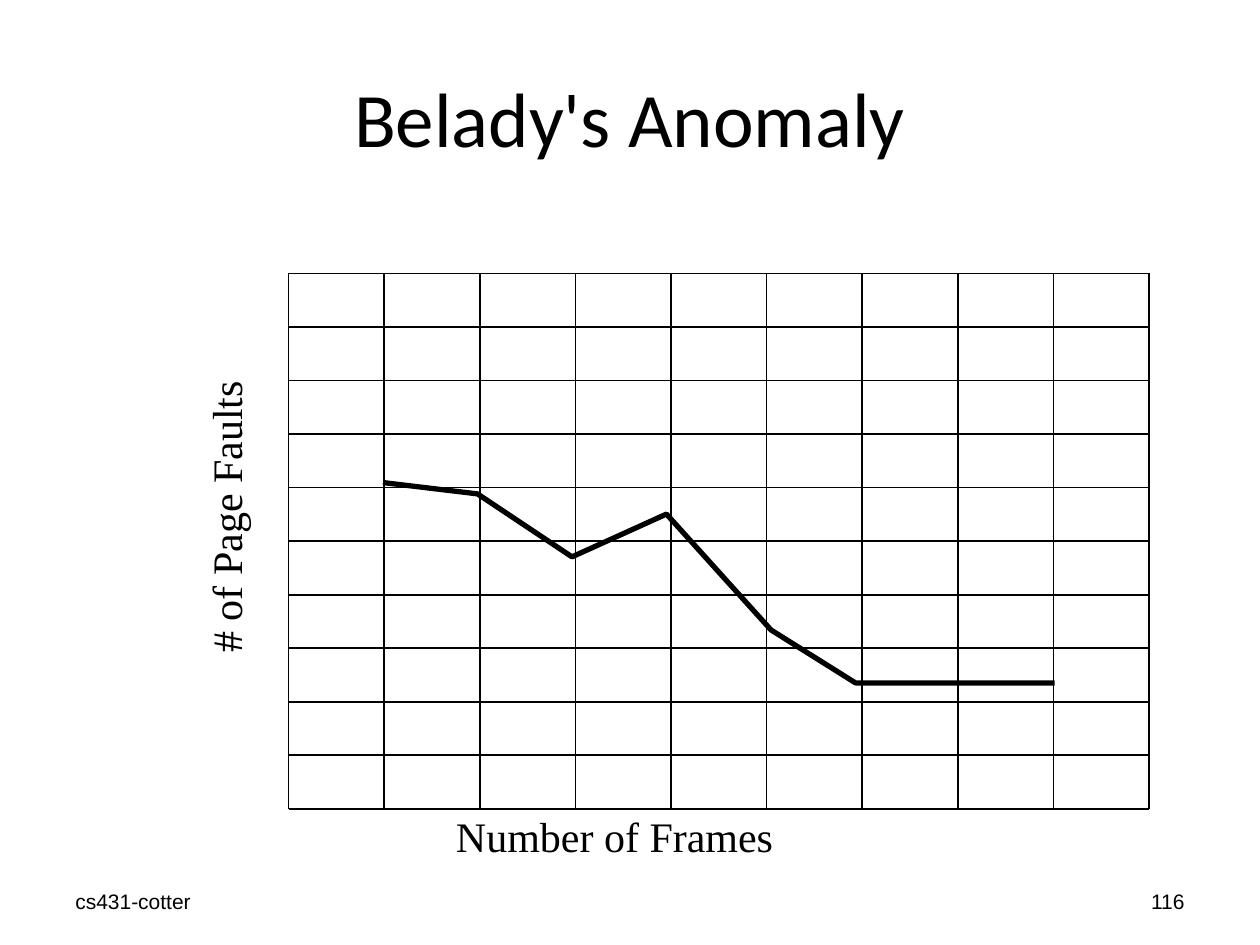
from dataclasses import dataclass

import pptx
import pptx.dml.color
import pptx.enum.shapes
import pptx.enum.text
import pptx.oxml.ns
import pptx.slide
import pptx.util
from lxml import etree

Inches = pptx.util.Inches
ALIGN = pptx.enum.text.PP_ALIGN
ANCHOR = pptx.enum.text.MSO_ANCHOR

COLORS = {"ink": "000000", "paper": "FFFFFF"}

# Chart grid
LEFT, TOP, RIGHT, BOTTOM = 2.29, 2.17, 9.12, 6.42
COLUMNS, ROWS = 9, 10

FAULT_CURVE = [(3.04, 3.83), (3.79, 3.92), (4.54, 4.42), (5.29, 4.08),
               (6.12, 5), (6.79, 5.42), (7.62, 5.42), (8.37, 5.42)]


@dataclass
class Label:
    text: str
    left: float
    top: float
    width: float
    height: float
    size: int
    font: str
    align: ALIGN = ALIGN.LEFT
    anchor: ANCHOR = ANCHOR.MIDDLE
    wrap: bool = True
    rotation: int = 0


LABELS = [
    Label("cs431-cotter", 0.5, 6.95, 2.33, 0.4, 12, "Arial"),
    Label("116", 7.17, 6.95, 2.33, 0.4, 12, "Arial", ALIGN.RIGHT),
    Label("Belady's Anomaly", 0.5, 0.3, 9, 1.25, 44, "Calibri", ALIGN.CENTER),
    Label("# of Page Faults", 0.61, 3.85, 2.36, 0.5, 24, "Times New Roman",
          anchor=ANCHOR.TOP, wrap=False, rotation=270),
    Label("Number of Frames", 3.52, 6.38, 2.72, 0.5, 24, "Times New Roman",
          anchor=ANCHOR.TOP, wrap=False),
]


def rgb(name: str) -> pptx.dml.color.RGBColor:
    return pptx.dml.color.RGBColor.from_string(COLORS[name])


def add_label(slide: pptx.slide.Slide, label: Label) -> None:
    sp = slide.shapes.add_textbox(Inches(label.left), Inches(label.top),
                                  Inches(label.width), Inches(label.height))
    sp.rotation = label.rotation
    tf = sp.text_frame
    tf.word_wrap = label.wrap
    tf.vertical_anchor = label.anchor
    if not label.wrap:
        tf.auto_size = pptx.enum.text.MSO_AUTO_SIZE.SHAPE_TO_FIT_TEXT
    p = tf.paragraphs[0]
    p.text = label.text
    p.alignment = label.align
    p.font.size = pptx.util.Pt(label.size)
    p.font.name = label.font
    p.font.color.rgb = rgb("ink")


def add_grid_line(slide: pptx.slide.Slide, x1: float, y1: float,
                  x2: float, y2: float) -> None:
    line = slide.shapes.add_connector(
        pptx.enum.shapes.MSO_CONNECTOR.STRAIGHT,
        Inches(x1), Inches(y1), Inches(x2), Inches(y2))
    line.line.color.rgb = rgb("ink")
    line.line.width = pptx.util.Pt(1)
    etree.SubElement(line._element.spPr, pptx.oxml.ns.qn("a:effectLst"))


def add_curve(slide: pptx.slide.Slide, points: list[tuple[float, float]]) -> None:
    start, *rest = [(Inches(x), Inches(y)) for x, y in points]
    builder = slide.shapes.build_freeform(*start)
    builder.add_line_segments(rest, close=False)
    sp = builder.convert_to_shape()
    sp.shadow.inherit = False
    sp.fill.background()
    sp.line.color.rgb = rgb("ink")
    sp.line.width = pptx.util.Pt(3)


def main() -> None:
    prs = pptx.Presentation()
    prs.slide_width, prs.slide_height = Inches(10), Inches(7.5)
    slide = prs.slides.add_slide(prs.slide_layouts[6])
    slide.background.fill.solid()
    slide.background.fill.fore_color.rgb = rgb("paper")

    # Grid
    for i in range(COLUMNS + 1):
        x = LEFT + i * (RIGHT - LEFT) / COLUMNS
        add_grid_line(slide, x, TOP, x, BOTTOM)
    for i in range(ROWS + 1):
        y = TOP + i * (BOTTOM - TOP) / ROWS
        add_grid_line(slide, LEFT, y, RIGHT, y)

    # Title, axis names and footer
    for label in LABELS:
        add_label(slide, label)

    # Page faults against frames
    add_curve(slide, FAULT_CURVE)

    prs.save("out.pptx")


if __name__ == "__main__":
    main()
